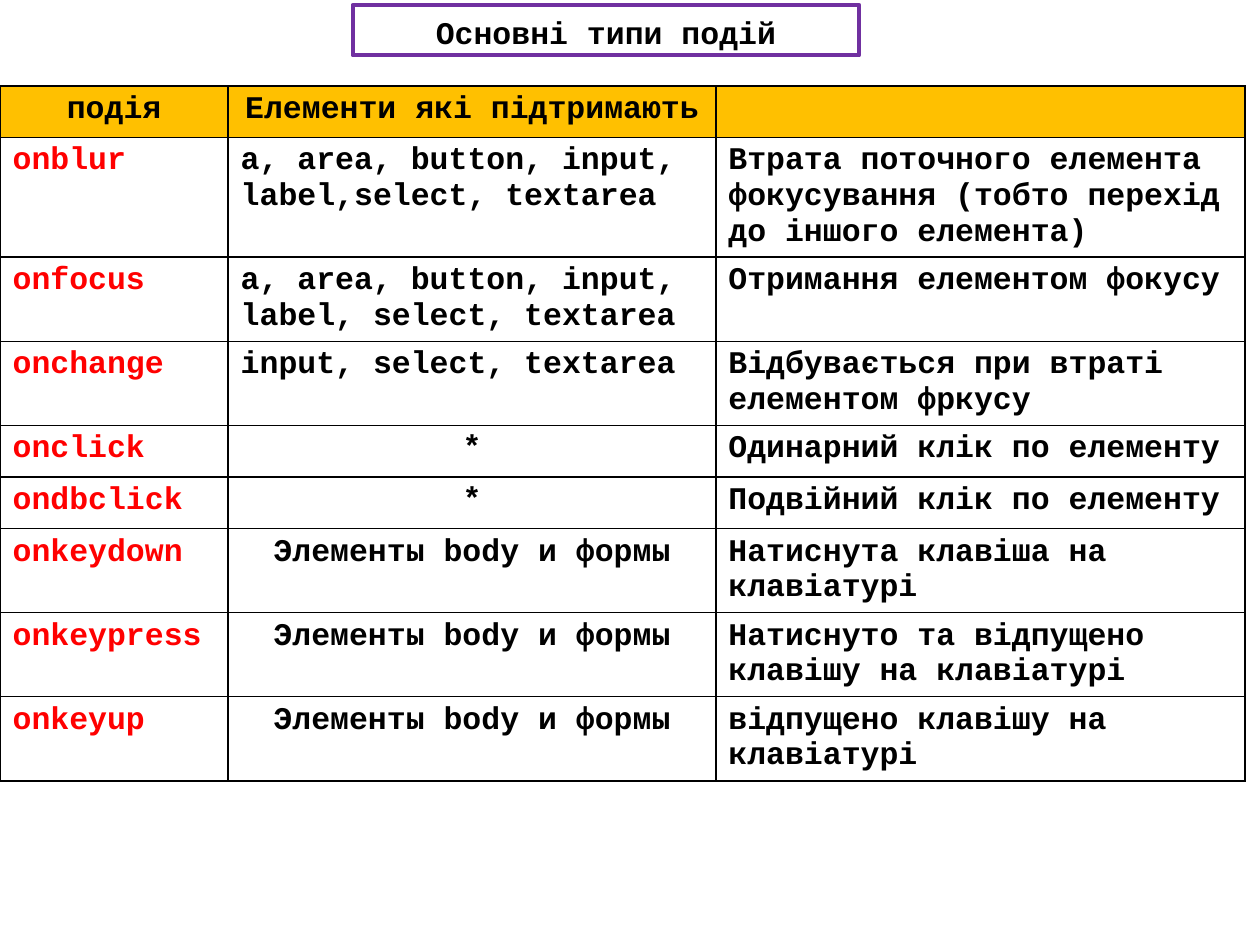
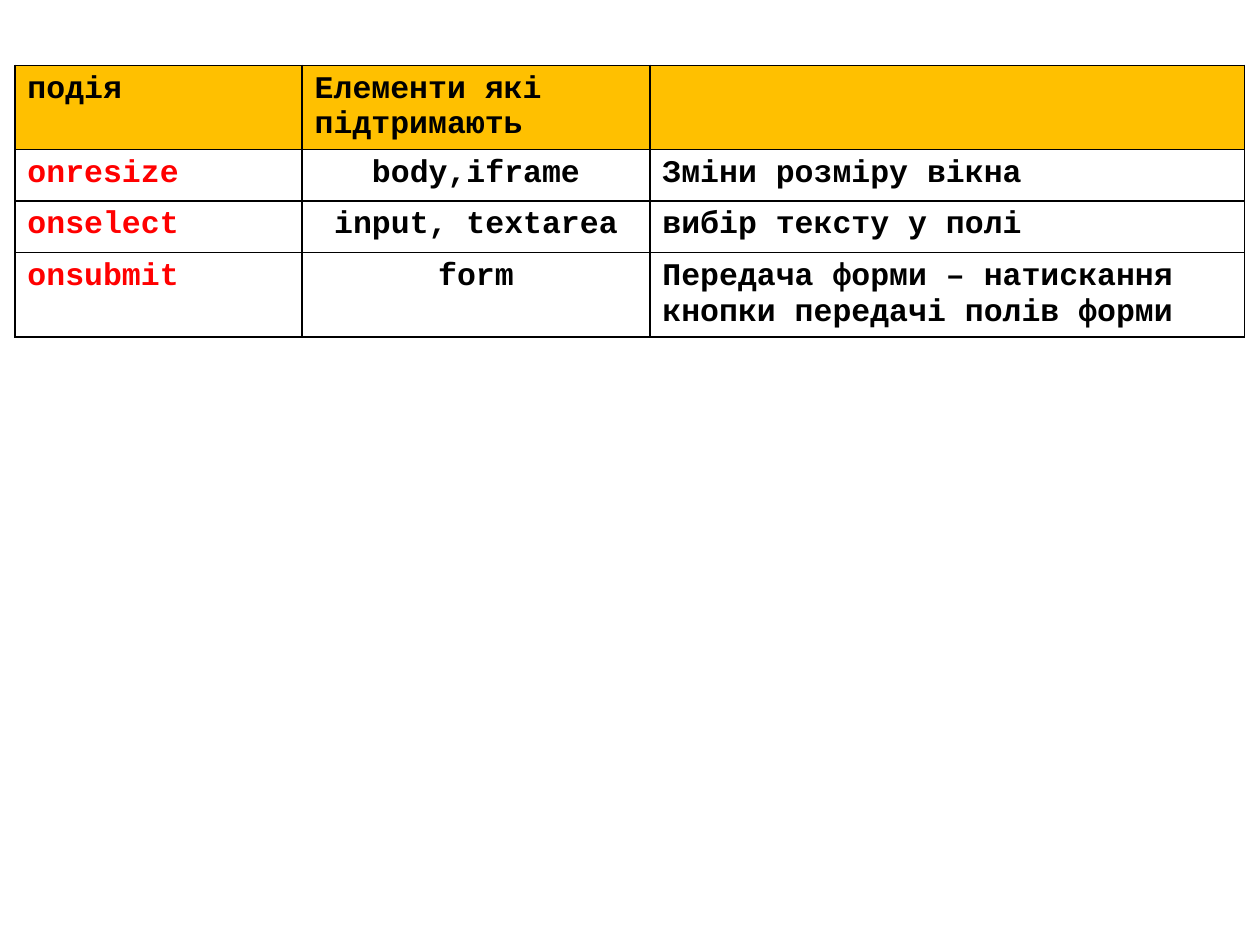
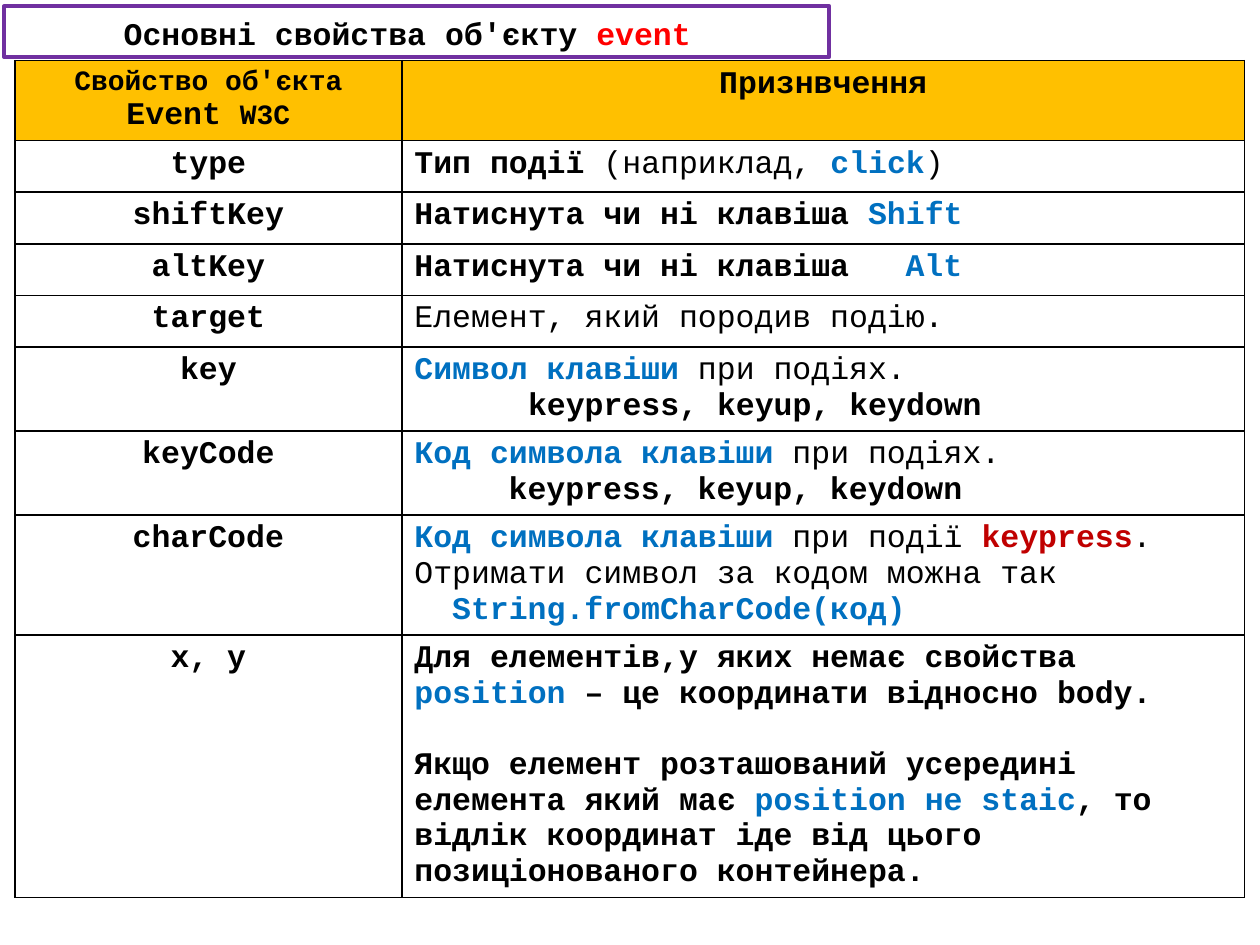
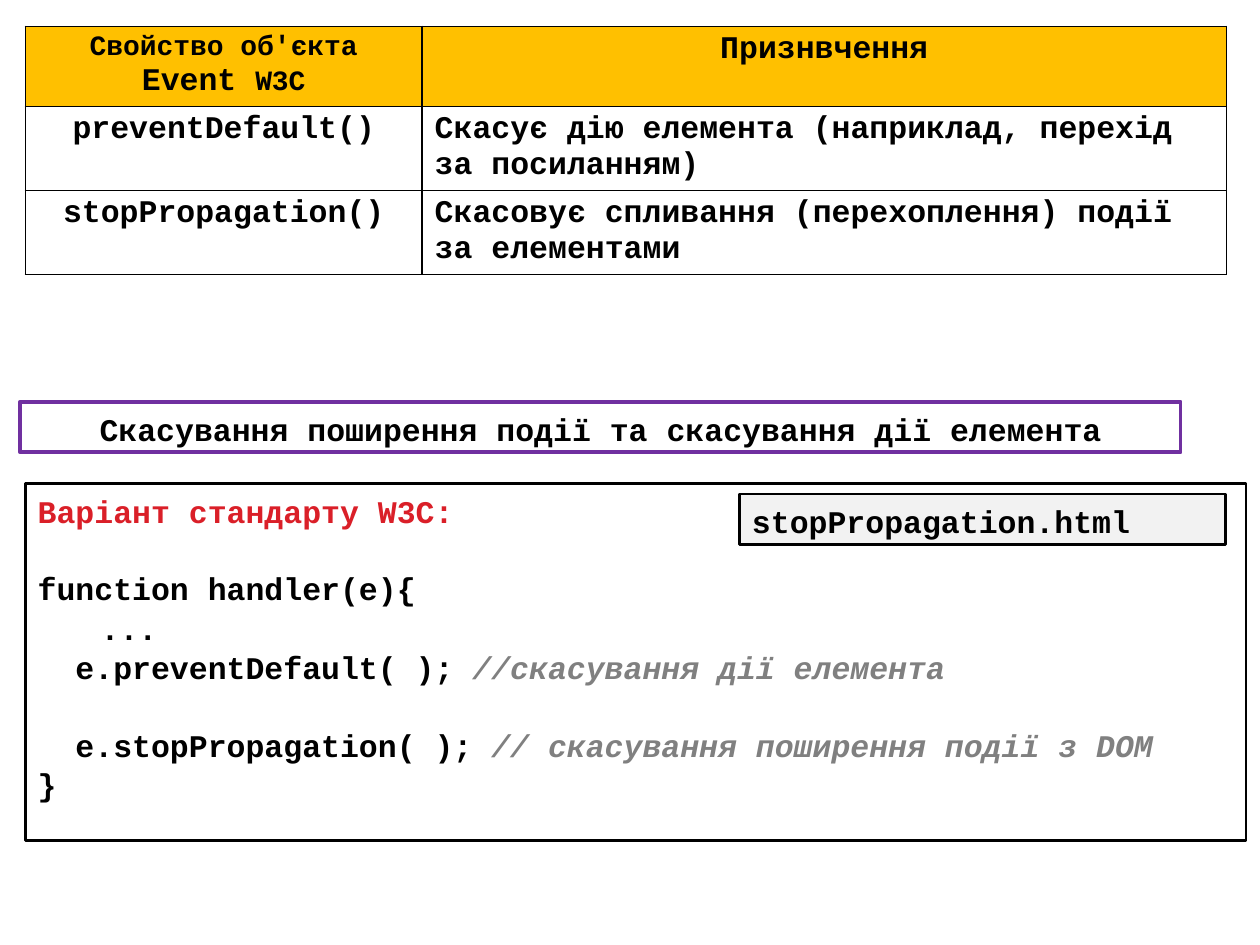
from lxml.etree import SubElement as Sub
from pptx import Presentation
from pptx.dml.color import RGBColor
from pptx.enum.shapes import MSO_SHAPE as Shape
from pptx.enum.text import MSO_ANCHOR as Anchor, PP_ALIGN as Align
from pptx.oxml.ns import qn
from pptx.util import Cm, Pt

# Shared look
hue = RGBColor.from_string
INK, GOLD, PLUM = "000000", "FFC000", "7030A0"
BASE = {"name": "Courier New", "size": Pt(18), "bold": True, "color": INK}
RED, BLUE, DARK = {"color": "FF0000"}, {"color": "0070C0"}, {"color": "C00000"}
THIN, SMALL = {"bold": False}, {"size": Pt(16)}
NOTE = {"color": "808080", "italic": True}
LEFT, MID = {"alignment": Align.LEFT}, {"alignment": Align.CENTER}
ROW = 1.04


def write(frame, paras, **shared):
    """Each paragraph is (format, run, ...); a run is text or (text, style)."""
    for i, (form, *runs) in enumerate(paras):
        para = frame.paragraphs[0] if i == 0 else frame.add_paragraph()
        form = {**LEFT, **shared, **form}
        props = para._p.get_or_add_pPr()
        if "indent" in form:
            props.set("marL", str(Cm(form.pop("indent"))))
            props.set("indent", "0")
        if "tab" in form:
            stops = Sub(props, qn("a:tabLst"))
            Sub(stops, qn("a:tab"), pos=str(Cm(form.pop("tab"))), algn="l")
        for key, val in form.items():
            setattr(para, key, val)
        for item in runs:
            text, style = (item, {}) if isinstance(item, str) else item
            run = para.add_run()
            run.text = text
            for key, val in {**BASE, **style}.items():
                if key == "color":
                    run.font.color.rgb = hue(val)
                else:
                    setattr(run.font, key, val)


def box(slide, place, paras, line=PLUM, width=2.25, fill=None):
    rect = slide.shapes.add_shape(Shape.RECTANGLE, *map(Cm, place))
    rect.shadow.inherit = False
    rect.line.color.rgb = hue(line)
    rect.line.width = Pt(width)
    if fill:
        rect.fill.solid()
        rect.fill.fore_color.rgb = hue(fill)
    else:
        rect.fill.background()
    frame = rect.text_frame
    frame.word_wrap = True
    frame.vertical_anchor = Anchor.TOP
    write(frame, paras, line_spacing=1.05)


# Event types: name, elements, their alignment, meaning
forms = "Элементы body и формы"
types = [
    ("onblur", "a, area, button, input, label,select, textarea", LEFT,
     "Втрата поточного елемента фокусування (тобто перехід до іншого елемента)"),
    ("onfocus", "a, area, button, input, label, select, textarea", LEFT,
     "Отримання елементом фокусу"),
    ("onchange", "input, select, textarea", LEFT,
     "Відбувається при втраті елементом фркусу"),
    ("onclick", "*", MID, "Одинарний клік по елементу"),
    ("ondbclick", "*", MID, "Подвійний клік по елементу"),
    ("onkeydown", forms, MID, "Натиснута клавіша на клавіатурі"),
    ("onkeypress", forms, MID, "Натиснуто та відпущено клавішу на клавіатурі"),
    ("onkeyup", forms, MID, "відпущено клавішу на клавіатурі"),
]
more = [
    ("onresize", "body,iframe", MID, "Зміни розміру вікна"),
    ("onselect", "input, textarea", MID, "вибір тексту у полі"),
    ("onsubmit", "form", MID,
     "Передача форми – натискання кнопки передачі полів форми"),
]

# Event object: name, paragraphs of the meaning
keys = "keypress, keyup, keydown"
plain = ("при подіях.", THIN)
props = [
    ("type", [({}, "Тип події ", ("(наприклад, ", THIN), ("click", BLUE),
               (")", THIN))]),
    ("shiftKey", [({}, "Натиснута чи ні клавіша ", ("Shift", BLUE))]),
    ("altKey", [({"tab": 9.9}, "Натиснута чи ні клавіша\t", ("Alt", BLUE))]),
    ("target", [({}, ("Елемент, який породив подію.", THIN))]),
    ("key", [({}, ("Символ клавіши ", BLUE), plain), ({"indent": 2.29}, keys)]),
    ("keyCode", [({}, ("Код символа клавіши ", BLUE), plain),
                 ({"indent": 1.9}, keys)]),
    ("charCode", [({}, ("Код символа клавіши ", BLUE), ("при події ", THIN),
                   ("keypress", DARK), (".", THIN)),
                  ({}, ("Отримати символ за кодом можна так", THIN)),
                  ({"indent": 0.76}, ("String.fromCharCode(код)", BLUE))]),
    ("x, y", [({}, "Для елементів,у яких немає свойства ", ("position", BLUE),
               " – це координати відносно body."),
              ({"space_before": Pt(20.4)},
               "Якщо елемент розташований усередині елемента який має ",
               ("position не staic", BLUE),
               ", то відлік координат іде від цього позиціонованого контейнера.")]),
]
calls = [
    ("preventDefault()",
     [({}, "Скасує дію елемента (наприклад, перехід за посиланням)")]),
    ("stopPropagation()",
     [({}, "Скасовує спливання (перехоплення) події за елементами")]),
]

# Turn the lists into table rows
grids = []
for rows, side in ((types, MID), (more, LEFT)):
    head = [[(side, "подія")], [(side, "Елементи які підтримають")], []]
    grids.append([head] + [
        [[({}, (name, RED))], [(al, tags)], [({}, use)]]
        for name, tags, al, use in rows])
for rows in (props, calls):
    head = [[(MID, ("Свойство об'єкта ", SMALL), "Event ", ("W3C", SMALL))],
            [(MID, "Признвчення")]]
    grids.append([head] + [[[(MID, name)], use] for name, use in rows])

# Table left, top, height, column widths and head row height
spots = [
    (0, 1.73, 14.53, (4.6, 9.83, 10.67), ROW),
    (0.3, 1.32, 5.61, (5.79, 7.01, 11.99), ROW),
    (0.3, 1.22, 17.5, (7.8, 16.99), 1.19),
    (0.51, 0.53, 5.26, (8, 16.21), 1.6),
]

# Slides with their tables
deck = Presentation()
deck.slide_width, deck.slide_height = Cm(25.4), Cm(19.05)
slides = []
for grid, (left, top, tall, cols, first) in zip(grids, spots):
    slide = deck.slides.add_slide(deck.slide_layouts[6])
    slides.append(slide)
    holder = slide.shapes.add_table(
        len(grid), len(cols), Cm(left), Cm(top), Cm(sum(cols)), Cm(tall))
    table = holder.table
    table.first_row = table.horz_banding = False
    for col, wide in zip(table.columns, cols):
        col.width = Cm(wide)
    for r, line in enumerate(grid):
        table.rows[r].height = Cm(ROW if r else first)
        for c, paras in enumerate(line):
            cell = table.cell(r, c)
            tc = cell._tc.get_or_add_tcPr()
            for edge in ("a:lnL", "a:lnR", "a:lnT", "a:lnB"):
                rule = Sub(tc, qn(edge), w=str(Pt(1)))
                Sub(Sub(rule, qn("a:solidFill")), qn("a:srgbClr"), val=INK)
            if r == 0:
                cell.fill.solid()
                cell.fill.fore_color.rgb = hue(GOLD)
            else:
                cell.fill.background()
            write(cell.text_frame, paras)
    holder.height = Cm(tall)

# Code and file name on the last slide
gap = {"space_before": Pt(21.5)}
code = [
    ({}, ("Варіант стандарту W3C:", {"color": "DA1F28"})),
    (gap, "function handler(e){"),
    ({}, "\t..."),
    ({}, "  e.preventDefault( ); ", ("//скасування дії елемента", NOTE)),
    (gap, "  e.stopPropagation( ); ",
     ("// скасування поширення події з DOM", NOTE)),
    ({}, "}"),
]
box(slides[3], (0.51, 9.75, 24.61, 7.19), code, INK, 1.5)
box(slides[3], (14.91, 9.96, 9.8, 1.02), [({}, "stopPropagation.html")],
    INK, 1.5, "F2F2F2")

# Framed titles
titles = [
    (0, (7.11, 0.1, 10.21, 1.02), ["Основні типи подій"]),
    (2, (0.08, 0.13, 16.64, 1.02),
     ["Основні свойства об'єкту ", ("event ", RED)]),
    (3, (0.41, 8.1, 23.39, 1.02),
     ["Скасування поширення події та скасування дії елемента"]),
]
for n, place, runs in titles:
    box(slides[n], place, [(MID, *runs)])

deck.save("out.pptx")
